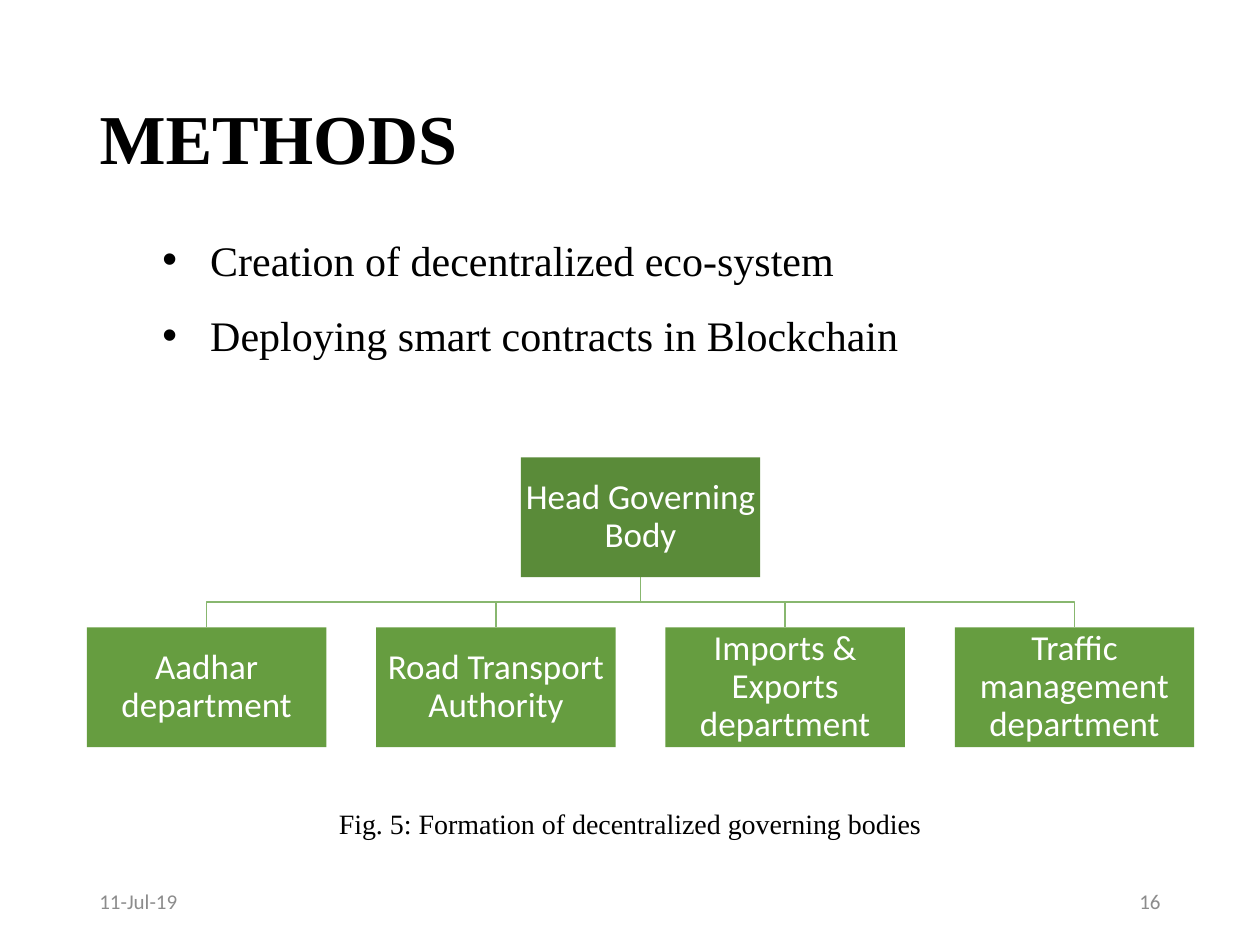
from dataclasses import dataclass

from lxml import etree
from pptx import Presentation
from pptx.dml.color import RGBColor
from pptx.enum.shapes import MSO_SHAPE
from pptx.enum.text import MSO_ANCHOR, MSO_AUTO_SIZE, PP_ALIGN
from pptx.oxml.ns import qn
from pptx.util import Inches, Pt

RECTANGLE = MSO_SHAPE.RECTANGLE
TOP, MIDDLE = MSO_ANCHOR.TOP, MSO_ANCHOR.MIDDLE
LEFT, CENTER, RIGHT = PP_ALIGN.LEFT, PP_ALIGN.CENTER, PP_ALIGN.RIGHT
NO_FIT = MSO_AUTO_SIZE.NONE

BLACK = RGBColor(0x00, 0x00, 0x00)
WHITE = RGBColor(0xFF, 0xFF, 0xFF)
GRAY = RGBColor(0x8C, 0x8C, 0x8C)
HEAD_GREEN = RGBColor(0x5A, 0x8B, 0x39)
BRANCH_GREEN = RGBColor(0x66, 0x9D, 0x40)
LINE_GREEN = RGBColor(0x88, 0xB7, 0x6F)
SERIF, SANS = "Times New Roman", "Calibri"

PAGE_WIDTH, PAGE_HEIGHT = 10, 7.5
MARGIN = 0.69
CONTENT_WIDTH = PAGE_WIDTH - 2 * MARGIN
FOOTER_TOP, FOOTER_WIDTH, FOOTER_HEIGHT = 6.95, 2.25, 0.4

NODE_WIDTH, NODE_HEIGHT = 1.9, 0.95
COLUMN_PITCH, ROW_PITCH = 2.296, 1.35
CHART_LEFT, CHART_TOP = MARGIN, 3.63


@dataclass(frozen=True)
class Node:
    label: str
    column: float
    row: int
    color: RGBColor

    @property
    def left(self) -> float:
        return CHART_LEFT + self.column * COLUMN_PITCH

    @property
    def top(self) -> float:
        return CHART_TOP + self.row * ROW_PITCH

    @property
    def center(self) -> float:
        return self.left + NODE_WIDTH / 2

    @property
    def bottom(self) -> float:
        return self.top + NODE_HEIGHT


DEPARTMENTS = (
    "Aadhar department",
    "Road Transport Authority",
    "Imports & Exports department",
    "Traffic management department",
)
HEAD = Node("Head Governing Body", (len(DEPARTMENTS) - 1) / 2, 0, HEAD_GREEN)
BRANCHES = [
    Node(label, column, 1, BRANCH_GREEN) for column, label in enumerate(DEPARTMENTS)
]


def write(box, *lines: str, size: float, font: str, color: RGBColor,
          bold: bool = False, align=LEFT, anchor=TOP, spacing: float = 1.0,
          inset: float | None = None) -> None:
    frame = box.text_frame
    frame.word_wrap = True
    frame.auto_size = NO_FIT
    frame.vertical_anchor = anchor
    if inset is not None:
        frame.margin_left = frame.margin_right = Inches(inset)
        frame.margin_top = frame.margin_bottom = Inches(inset)
    for index, line in enumerate(lines):
        para = frame.paragraphs[0] if index == 0 else frame.add_paragraph()
        para.alignment = align
        para.line_spacing = spacing
        span = para.add_run()
        span.text = line
        span.font.size = Pt(size)
        span.font.name = font
        span.font.bold = bold
        span.font.color.rgb = color


def add_text(page, left: float, top: float, width: float, height: float,
             *lines: str, **style):
    box = page.shapes.add_textbox(
        Inches(left), Inches(top), Inches(width), Inches(height))
    write(box, *lines, **style)
    return box


def add_bullets(box, indent: float, hanging: float) -> None:
    for para in box.text_frame.paragraphs:
        properties = para._p.get_or_add_pPr()
        properties.set("marL", str(Inches(indent)))
        properties.set("indent", str(-Inches(hanging)))
        etree.SubElement(properties, qn("a:buFont")).set("typeface", "Arial")
        etree.SubElement(properties, qn("a:buChar")).set("char", "•")


def draw_node(page, node: Node) -> None:
    box = page.shapes.add_shape(
        RECTANGLE, Inches(node.left), Inches(node.top),
        Inches(NODE_WIDTH), Inches(NODE_HEIGHT))
    box.shadow.inherit = False
    box.fill.solid()
    box.fill.fore_color.rgb = node.color
    box.line.fill.background()
    write(box, node.label, size=20, font=SANS, color=WHITE, align=CENTER,
          anchor=MIDDLE, spacing=0.9, inset=0.01)


def draw_branch(page, parent: Node, child: Node) -> None:
    middle = (parent.bottom + child.top) / 2
    start, *bends = [
        (Inches(x), Inches(y)) for x, y in (
            (parent.center, parent.bottom), (parent.center, middle),
            (child.center, middle), (child.center, child.top))
    ]
    builder = page.shapes.build_freeform(*start)
    builder.add_line_segments(bends, close=False)
    branch = builder.convert_to_shape()
    branch.shadow.inherit = False
    branch.fill.background()
    branch.line.color.rgb = LINE_GREEN
    branch.line.width = Pt(1)


def main() -> None:
    deck = Presentation()
    deck.slide_width, deck.slide_height = Inches(PAGE_WIDTH), Inches(PAGE_HEIGHT)
    page = deck.slides.add_slide(deck.slide_layouts[5])

    title = page.shapes.title
    title.left, title.top = Inches(MARGIN), Inches(0.4)
    title.width, title.height = Inches(CONTENT_WIDTH), Inches(1.45)
    write(title, "METHODS", size=40, font=SERIF, color=BLACK, bold=True,
          anchor=MIDDLE, spacing=0.9)

    methods = add_text(
        page, MARGIN, 1.61, CONTENT_WIDTH, 1.24,
        "Creation of decentralized eco-system",
        "Deploying smart contracts in Blockchain",
        size=24, font=SERIF, color=BLACK, spacing=1.5)
    add_bullets(methods, indent=0.88, hanging=0.38)

    for branch in BRANCHES:
        draw_branch(page, HEAD, branch)
    for node in (HEAD, *BRANCHES):
        draw_node(page, node)

    add_text(page, PAGE_WIDTH / 12, 6.35, PAGE_WIDTH * 10 / 12, 0.37,
             "Fig. 5: Formation of decentralized governing bodies",
             size=16, font=SERIF, color=BLACK, align=CENTER)

    footer_right = PAGE_WIDTH - MARGIN - FOOTER_WIDTH
    for left, label, align in ((MARGIN, "11-Jul-19", LEFT),
                               (footer_right, "16", RIGHT)):
        add_text(page, left, FOOTER_TOP, FOOTER_WIDTH, FOOTER_HEIGHT, label,
                 size=12, font=SANS, color=GRAY, align=align, anchor=MIDDLE)

    deck.save("out.pptx")


if __name__ == "__main__":
    main()
